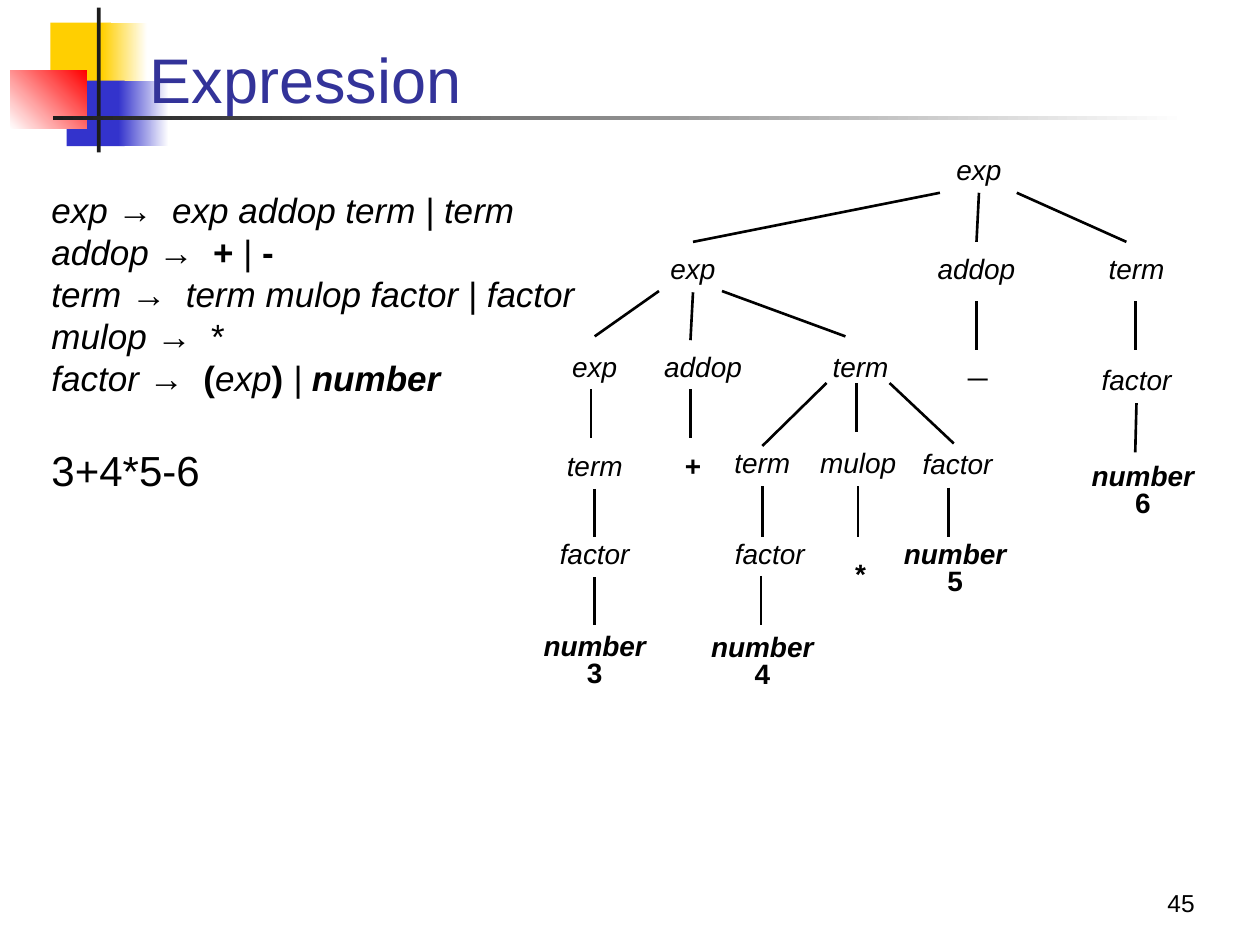
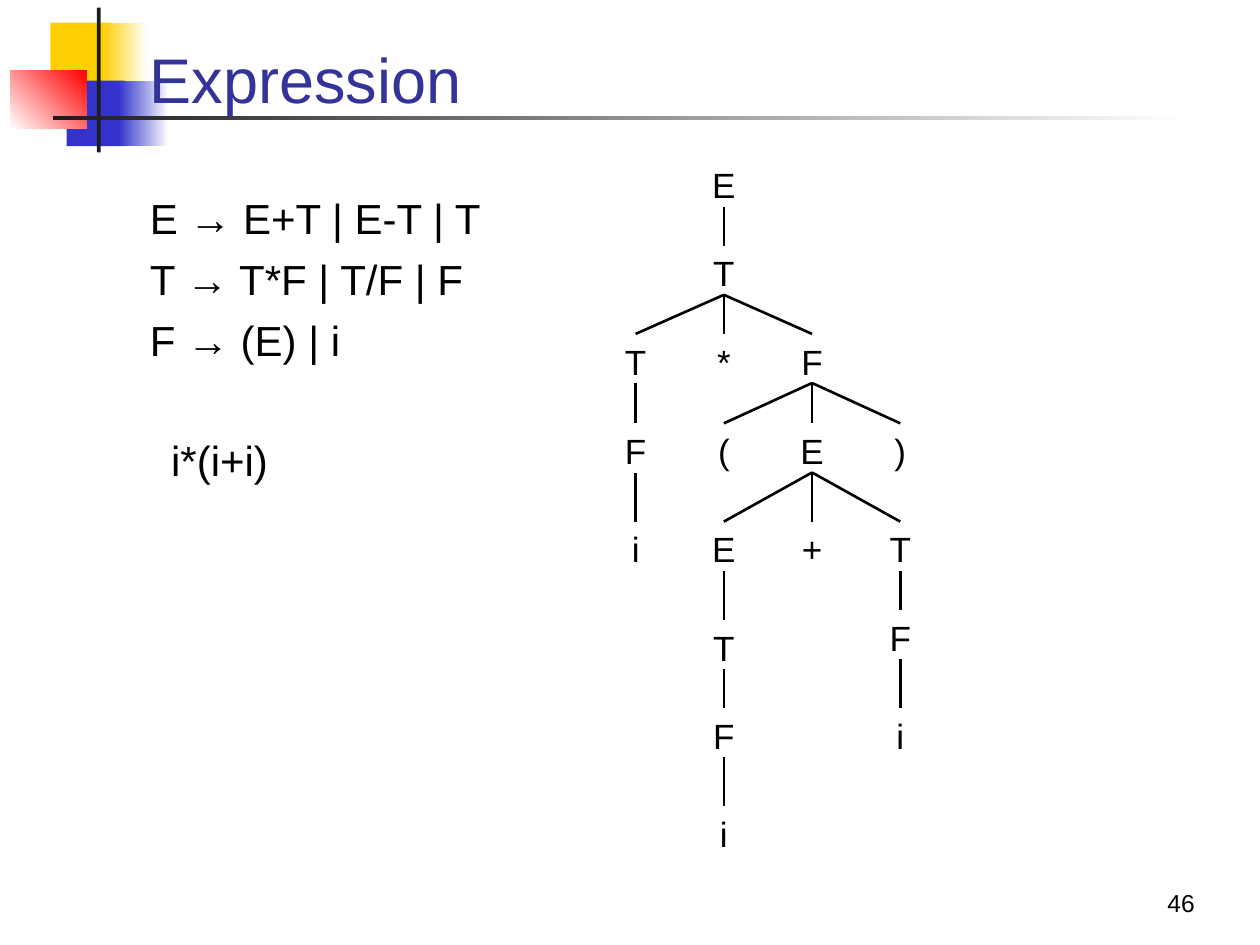
import dataclasses

import lxml.etree
import pptx
import pptx.dml.color
import pptx.enum.shapes
import pptx.enum.text
import pptx.oxml.ns
import pptx.util

Inches = pptx.util.Inches
RGBColor = pptx.dml.color.RGBColor
Align = pptx.enum.text.PP_ALIGN
Anchor = pptx.enum.text.MSO_ANCHOR


@dataclasses.dataclass(frozen=True)
class Theme:
    font: str = "Arial"
    title: RGBColor = RGBColor.from_string("333399")
    text: RGBColor = RGBColor.from_string("000000")
    yellow: RGBColor = RGBColor.from_string("FFCF01")
    blue: RGBColor = RGBColor.from_string("3333CC")
    red: RGBColor = RGBColor.from_string("FF0000")
    dark: RGBColor = RGBColor.from_string("1C1C1C")
    white: RGBColor = RGBColor.from_string("FFFFFF")
    title_size: int = 36
    example_size: int = 24
    body_size: int = 20
    label_size: int = 16
    number_size: int = 14
    branch_width: float = 1.5


theme = Theme()


def add_text(slide, box, lines, size, color=theme.text, align=Align.LEFT,
             anchor=Anchor.TOP, spacing=None, before=0):
    shape = slide.shapes.add_textbox(*[Inches(value) for value in box])
    text_frame = shape.text_frame
    text_frame.word_wrap = True
    text_frame.vertical_anchor = anchor
    for index, line in enumerate(lines):
        paragraph = text_frame.add_paragraph() if index else text_frame.paragraphs[0]
        paragraph.alignment = align
        paragraph.line_spacing = spacing
        paragraph.space_before = pptx.util.Pt(before)
        for text, style in line:
            run = paragraph.add_run()
            run.text = text
            run.font.name = theme.font
            run.font.size = pptx.util.Pt(size)
            run.font.color.rgb = color
            run.font.bold = "b" in style
            run.font.italic = "i" in style
    return shape


def add_branch(slide, start, end, labels):
    start_x, start_y, end_x, end_y = [Inches(value) for value in (*start, *end)]
    connector = slide.shapes.add_connector(
        pptx.enum.shapes.MSO_CONNECTOR.STRAIGHT, start_x, start_y, end_x, end_y)
    connector.line.color.rgb = theme.text
    connector.line.width = pptx.util.Pt(theme.branch_width)
    lxml.etree.SubElement(connector._element.spPr, pptx.oxml.ns.qn("a:effectLst"))
    tolerance = Inches(0.025)
    for label in labels:
        middle = label.left + label.width // 2
        bottom = label.top + label.height
        if abs(middle - start_x) < tolerance and abs(bottom - start_y) < tolerance:
            connector.begin_connect(label, 2)
        if abs(middle - end_x) < tolerance and abs(label.top - end_y) < tolerance:
            connector.end_connect(label, 0)


presentation = pptx.Presentation()
presentation.slide_width = Inches(10)
presentation.slide_height = Inches(7.5)

bands = [
    ((0.4, 0.18, 0.48, 0.52), theme.yellow, None, 0),
    ((0.81, 0.18, 0.36, 0.52), theme.yellow, theme.white, 0),
    ((0.53, 0.64, 0.46, 0.52), theme.blue, None, 0),
    ((0.94, 0.64, 0.4, 0.52), theme.blue, theme.white, 0),
    ((0.08, 0.56, 0.61, 0.46), theme.white, theme.red, 45),
    ((0.77, 0.06, 0.03, 1.15), theme.dark, None, 0),
    ((0.42, 0.92, 9, 0.03), theme.dark, theme.white, 0),
]

slides = []
for slide_number in (45, 46):
    slide = presentation.slides.add_slide(presentation.slide_layouts[6])
    for box, first_color, last_color, angle in bands:
        band = slide.shapes.add_shape(
            pptx.enum.shapes.MSO_SHAPE.RECTANGLE, *[Inches(value) for value in box])
        band.shadow.inherit = False
        band.line.fill.background()
        if last_color is None:
            band.fill.solid()
            band.fill.fore_color.rgb = first_color
        else:
            band.fill.gradient()
            band.fill.gradient_angle = angle
            for stop, color in zip(band.fill.gradient_stops, (first_color, last_color)):
                stop.color.rgb = color
    add_text(slide, (1.09, 0.21, 8.52, 0.76), [[("Expression", "")]], theme.title_size,
             color=theme.title, anchor=Anchor.BOTTOM, spacing=0.85)
    add_text(slide, (7.5, 6.83, 2.08, 0.5), [[(str(slide_number), "")]],
             theme.number_size, align=Align.RIGHT, anchor=Anchor.BOTTOM)
    slides.append(slide)

parse_slide, short_slide = slides

grammar = [
    [("exp ", "i"), ("→ ", ""), (" exp addop term | term", "i")],
    [("addop ", "i"), ("→  ", ""), ("+ ", "b"), ("|", ""), (" -", "b")],
    [("term ", "i"), ("→  ", ""), ("term mulop factor | factor", "i")],
    [("mulop ", "i"), ("→  *", "")],
    [("factor ", "i"), ("→  ", ""), ("(", "b"), ("exp", "i"), (")", "b"),
     (" | ", "i"), ("number", "bi")],
]
add_text(parse_slide, (0.31, 1.45, 4.53, 1.78), grammar, theme.body_size)
add_text(parse_slide, (0.31, 3.48, 1.39, 0.5), [[("3+4*5-6", "")]], theme.example_size)

rules = [
    ("exp", 7.77, 1.21), ("exp", 5.5, 2), ("addop", 7.75, 2), ("term", 9.02, 2),
    ("exp", 4.72, 2.78), ("addop", 5.58, 2.78), ("term", 6.83, 2.78),
    ("factor", 9.02, 2.88), ("term", 4.72, 3.56), ("term", 6.05, 3.54),
    ("mulop", 6.81, 3.54), ("factor", 7.6, 3.55),
    ("factor", 4.72, 4.26), ("factor", 6.11, 4.26),
]
operators = [("─", 7.76, 2.86), ("+", 5.5, 3.56), ("*", 6.83, 4.42)]
numbers = [("3", 4.72, 4.99), ("4", 6.05, 5), ("5", 7.58, 4.26), ("6", 9.07, 3.64)]

leaves = [([[(text, "i")]], x, y, 0.94, 0.32) for text, x, y in rules]
leaves += [([[(text, "b")]], x, y, 0.78, 0.32) for text, x, y in operators]
leaves += [([[("number", "bi")], [(text, "b")]], x, y, 1.09, 0.53) for text, x, y in numbers]
labels = [
    add_text(parse_slide, (x - width / 2, y, width, height), lines, theme.label_size,
             align=Align.CENTER, spacing=0.8)
    for lines, x, y, width, height in leaves
]

stems = [
    (7.75, 1.53), (5.48, 2.31), (7.75, 2.39), (9.01, 2.39), (4.69, 3.09),
    (5.48, 3.09), (6.8, 3.04), (9.01, 3.2), (4.72, 3.87), (6.05, 3.87),
    (6.81, 3.87), (7.53, 3.87), (4.72, 4.57), (6.04, 4.57),
]
branches = [((x, y), (x, y + 0.39)) for x, y in stems]
branches += [
    ((7.46, 1.53), (5.5, 1.92)), ((8.07, 1.53), (8.94, 1.92)),
    ((5.23, 2.31), (4.72, 2.67)), ((5.73, 2.31), (6.71, 2.67)),
    ((6.56, 3.04), (6.05, 3.52)), ((7.06, 3.04), (7.57, 3.52)),
]
for start, end in branches:
    add_branch(parse_slide, start, end, labels)

short_grammar = ["E → E+T | E-T | T", "T → T*F | T/F | F", "F → (E) | i"]
add_text(short_slide, (1.09, 1.48, 3.05, 1.48), [[(rule, "")] for rule in short_grammar],
         theme.example_size, before=6)
add_text(short_slide, (1.26, 3.4, 1, 0.5), [[("i*(i+i)", "")]], theme.example_size)

node_size = 0.39
column_left = 4.85
column_step = 0.7
nodes = [
    ("E", 1, 1.25, None), ("T", 1, 1.95, 0),
    ("T", 0, 2.65, 1), ("*", 1, 2.65, 1), ("F", 2, 2.65, 1),
    ("F", 0, 3.36, 2), ("(", 1, 3.36, 4), ("E", 2, 3.36, 4), (")", 3, 3.36, 4),
    ("i", 0, 4.14, 5), ("E", 1, 4.14, 7), ("+", 2, 4.14, 7), ("T", 3, 4.14, 7),
    ("T", 1, 4.92, 10), ("F", 1, 5.62, 13), ("i", 1, 6.4, 14),
    ("F", 3, 4.84, 12), ("i", 3, 5.62, 16),
]
labels = [
    add_text(short_slide, (column_left + column * column_step, top, node_size, node_size),
             [[(symbol, "")]], theme.body_size, align=Align.CENTER)
    for symbol, column, top, parent in nodes
]
centers = [column_left + column * column_step + node_size / 2 for _, column, _, _ in nodes]
for index, (symbol, column, top, parent) in enumerate(nodes):
    if parent is not None:
        start = (centers[parent], nodes[parent][2] + node_size)
        add_branch(short_slide, start, (centers[index], top), labels)

presentation.save("out.pptx")
